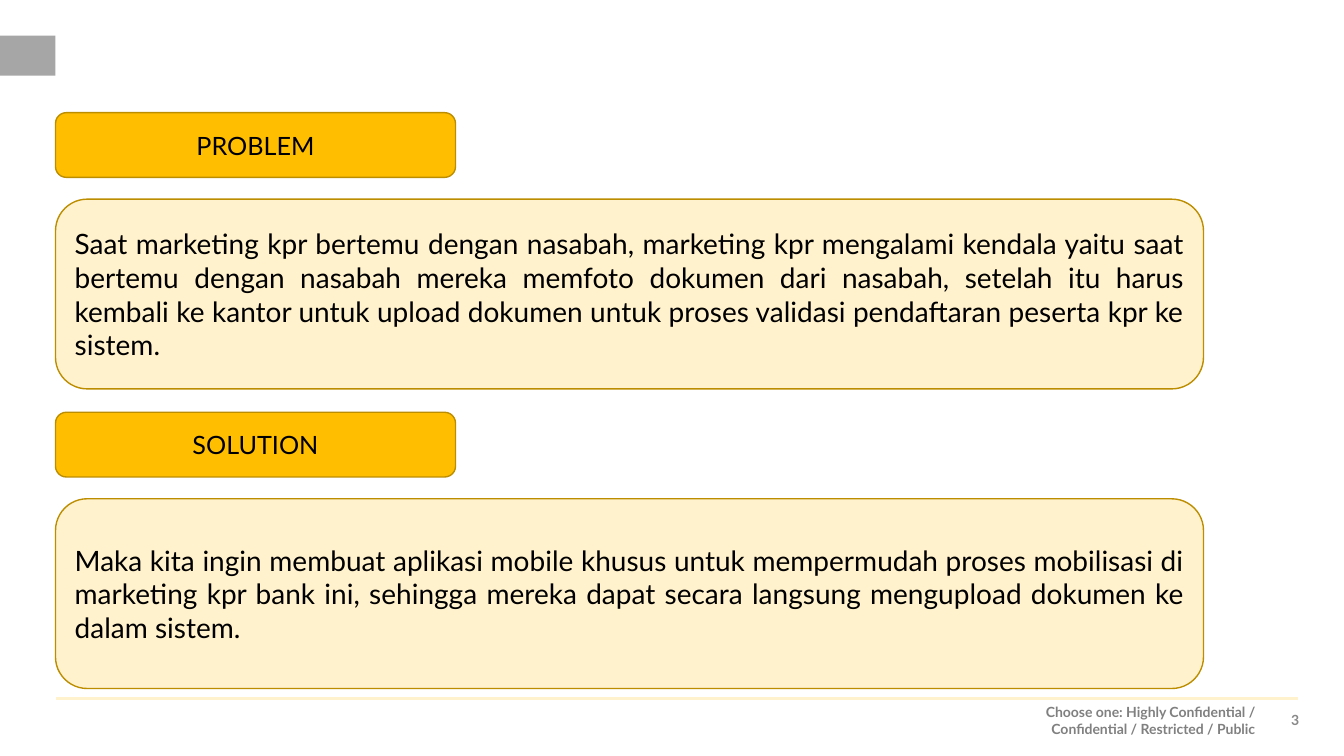
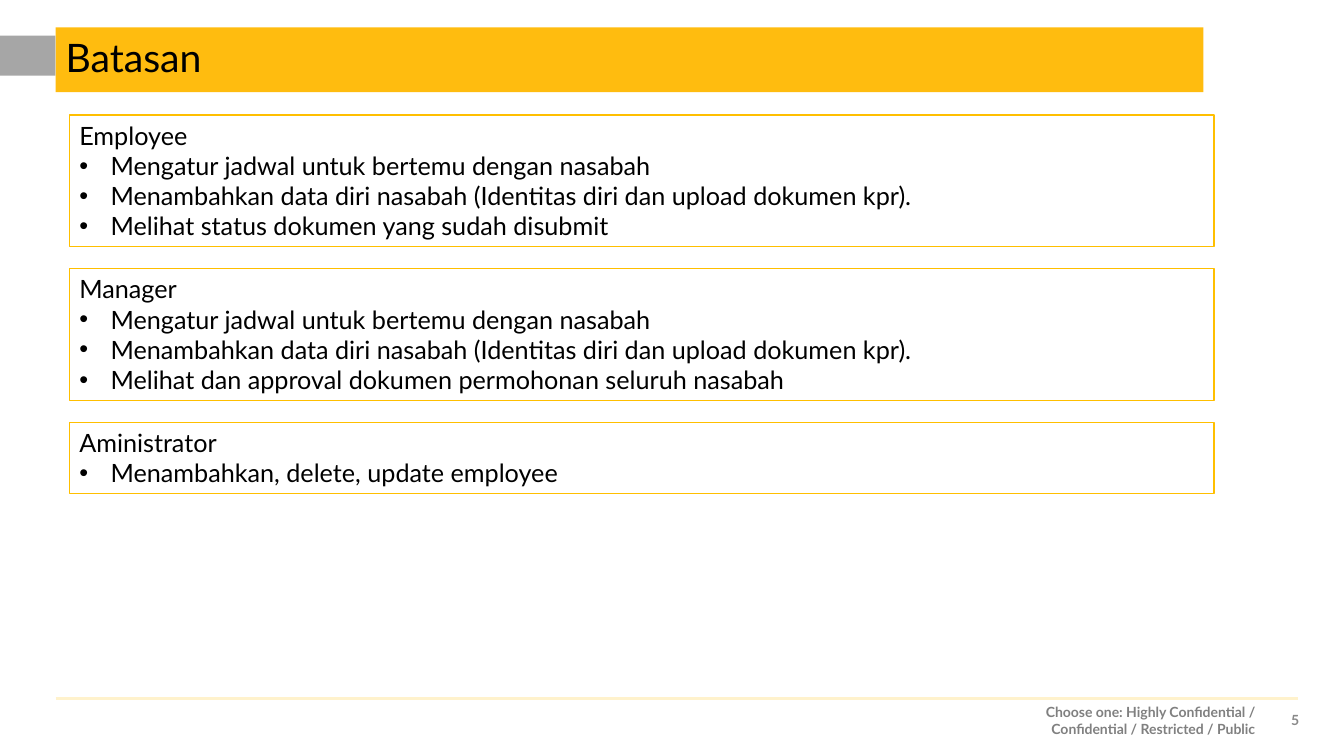
from dataclasses import dataclass

from lxml.etree import SubElement
from pptx import Presentation
from pptx.dml.color import RGBColor
from pptx.enum.shapes import MSO_CONNECTOR, MSO_SHAPE
from pptx.enum.text import MSO_ANCHOR, MSO_AUTO_SIZE, PP_ALIGN
from pptx.oxml.ns import qn
from pptx.util import Cm, Pt

# Content
FOOTER = "Choose one: Highly Confidential / Confidential / Restricted / Public"
SECTIONS = [
    ("PROBLEM",
     "Saat marketing kpr bertemu dengan nasabah, marketing kpr mengalami kendala yaitu "
     "saat bertemu dengan nasabah mereka memfoto dokumen dari nasabah, setelah itu harus "
     "kembali ke kantor untuk upload dokumen untuk proses validasi pendaftaran peserta "
     "kpr ke sistem."),
    ("SOLUTION",
     "Maka kita ingin membuat aplikasi mobile khusus untuk mempermudah proses mobilisasi "
     "di marketing kpr bank ini, sehingga mereka dapat secara langsung mengupload dokumen "
     "ke dalam sistem."),
]
LIMITS_TITLE = "Batasan"
SCHEDULE = "Mengatur jadwal untuk bertemu dengan nasabah"
ADD_DATA = "Menambahkan data diri nasabah (Identitas diri dan upload dokumen kpr)."
ROLES = [
    ("Employee", [SCHEDULE, ADD_DATA, "Melihat status dokumen yang sudah disubmit"]),
    ("Manager", [SCHEDULE, ADD_DATA, "Melihat dan approval dokumen permohonan seluruh nasabah"]),
    ("Aministrator", ["Menambahkan, delete, update employee"]),
]


@dataclass(frozen=True)
class Theme:
    font: str = "Lato"
    text: str = "000000"
    white: str = "FFFFFF"
    tab: str = "A6A6A6"
    title_fill: str = "FFBC0F"
    accent: str = "FFBF00"
    accent_dark: str = "BD8D00"
    pale: str = "FFF2CC"
    footer: str = "808080"
    number: str = "898989"
    title_size: int = 28
    body_size: int = 20
    label_size: int = 18
    small_size: int = 10


T = Theme()

# Shared grid, in centimetres
LEFT, WIDTH = 1.4, 28.93
BAR_H = 1.63
RULE_Y, RULE_END = 17.6, 32.72
FOOTER_Y, FOOTER_H = 17.65, 1.0


def rgb(value):
    return RGBColor.from_string(value)


def add_run(p, text, size, color=T.text, bold=False):
    r = p.add_run()
    r.text = text
    r.font.name = T.font
    r.font.size = Pt(size)
    r.font.bold = bold
    r.font.color.rgb = rgb(color)


def add_box(s, kind, x, y, w, h, fill, line=None):
    sp = s.shapes.add_shape(kind, Cm(x), Cm(y), Cm(w), Cm(h))
    sp.shadow.inherit = False
    sp.fill.solid()
    sp.fill.fore_color.rgb = rgb(fill)
    if line:
        sp.line.color.rgb = rgb(line)
        sp.line.width = Pt(1)
    else:
        sp.line.fill.background()
    return sp


def write(sp, text, size, align, color=T.text, bold=False):
    tf = sp.text_frame
    tf.word_wrap = True
    tf.vertical_anchor = MSO_ANCHOR.MIDDLE
    p = tf.paragraphs[0]
    p.alignment = align
    add_run(p, text, size, color, bold)
    return tf


def add_bullet(p, indent):
    pPr = p._p.get_or_add_pPr()
    pPr.set("marL", str(Cm(indent)))
    pPr.set("indent", str(-Cm(indent)))
    SubElement(pPr, qn("a:buFont")).set("typeface", "Arial")
    SubElement(pPr, qn("a:buChar")).set("char", "•")


def add_slide(prs, layout, number):
    """New slide with the side tab, footer rule, footer and page number."""
    s = prs.slides.add_slide(prs.slide_layouts[layout])
    add_box(s, MSO_SHAPE.RECTANGLE, 0, 0.9, LEFT, 1.01, T.tab)
    rule = s.shapes.add_connector(
        MSO_CONNECTOR.STRAIGHT, Cm(LEFT), Cm(RULE_Y), Cm(RULE_END), Cm(RULE_Y))
    rule.line.color.rgb = rgb(T.pale)
    rule.line.width = Pt(1.75)
    SubElement(rule._element.spPr, qn("a:effectLst"))

    footer = s.shapes.add_textbox(Cm(25.78), Cm(FOOTER_Y), Cm(6.1), Cm(FOOTER_H))
    write(footer, FOOTER, T.small_size, PP_ALIGN.RIGHT, T.footer, True)
    page = s.shapes.add_textbox(Cm(31.98), Cm(FOOTER_Y), Cm(0.76), Cm(FOOTER_H))
    tf = write(page, str(number), T.small_size, PP_ALIGN.RIGHT, T.number, True)
    tf.margin_left = tf.margin_right = tf.margin_top = tf.margin_bottom = 0
    return s


def set_title(s, text):
    sp = s.shapes.title
    sp.left, sp.top, sp.width, sp.height = Cm(LEFT), Cm(0.69), Cm(WIDTH), Cm(BAR_H)
    sp.fill.solid()
    sp.fill.fore_color.rgb = rgb(T.title_fill)
    tf = write(sp, text, T.title_size, PP_ALIGN.LEFT)
    tf.auto_size = MSO_AUTO_SIZE.NONE
    tf.paragraphs[0].line_spacing = 0.9


def build_problem_solution(prs):
    s = add_slide(prs, 6, 3)
    top, pitch, text_offset = 2.84, 7.55, 2.18
    for i, (label, text) in enumerate(SECTIONS):
        y = top + i * pitch
        heading = add_box(s, MSO_SHAPE.ROUNDED_RECTANGLE, LEFT, y, 10.08, BAR_H,
                          T.accent, T.accent_dark)
        write(heading, label, T.label_size, PP_ALIGN.CENTER)
        panel = add_box(s, MSO_SHAPE.ROUNDED_RECTANGLE, LEFT, y + text_offset, WIDTH, 4.78,
                        T.pale, T.accent_dark)
        write(panel, text, T.body_size, PP_ALIGN.JUSTIFY)


def build_limits(prs):
    s = add_slide(prs, 5, 5)
    set_title(s, LIMITS_TITLE)
    y, gap, line_h, padding = 2.9, 0.55, 0.76, 0.28
    for role, duties in ROLES:
        h = padding + line_h * (1 + len(duties))
        card = add_box(s, MSO_SHAPE.RECTANGLE, 1.75, y, 28.85, h, T.white, T.accent)
        tf = write(card, role, T.label_size, PP_ALIGN.LEFT)
        tf.vertical_anchor = MSO_ANCHOR.TOP
        for duty in duties:
            p = tf.add_paragraph()
            p.alignment = PP_ALIGN.LEFT
            add_bullet(p, 0.79)
            add_run(p, duty, T.label_size)
        y += h + gap


def main():
    prs = Presentation()
    prs.slide_width, prs.slide_height = Cm(33.87), Cm(19.05)
    build_problem_solution(prs)
    build_limits(prs)
    prs.save("out.pptx")


if __name__ == "__main__":
    main()
